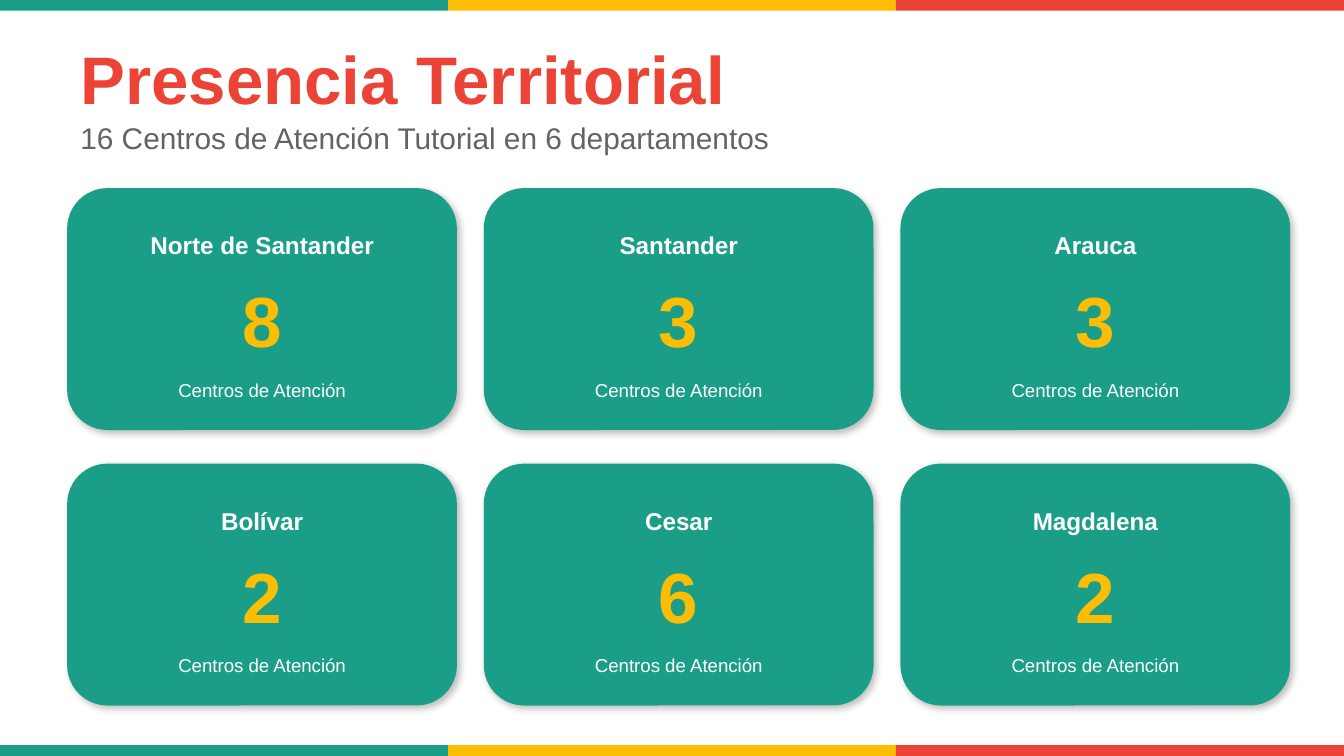
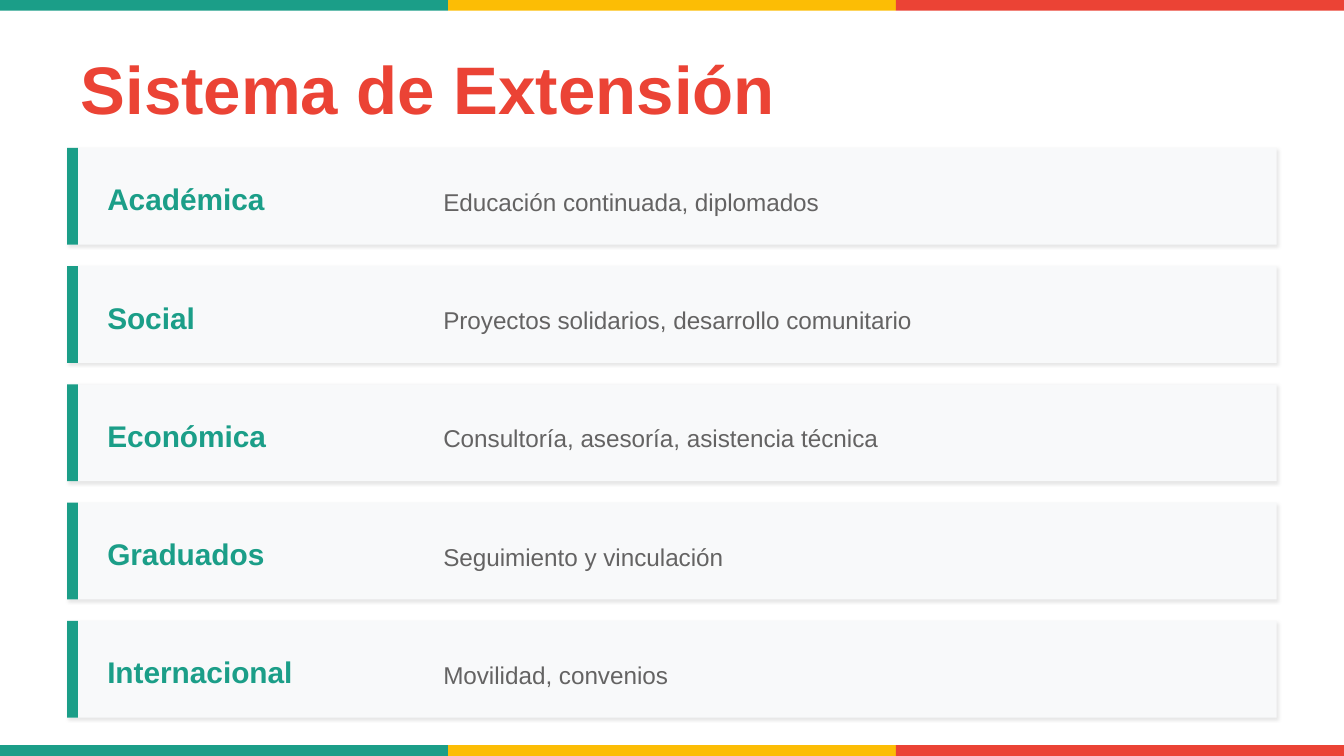
from lxml import etree
from pptx import Presentation
from pptx.dml.color import RGBColor
from pptx.enum import shapes, text
from pptx.oxml import ns
from pptx.util import Pt

TEAL = RGBColor(0x1B, 0x9E, 0x88)
YELLOW = RGBColor(0xFC, 0xBD, 0x05)
RED = RGBColor(0xEB, 0x43, 0x35)
GREY = RGBColor(0x64, 0x63, 0x63)
PALE = RGBColor(0xF8, 0xF9, 0xFA)
WHITE = RGBColor(0xFF, 0xFF, 0xFF)

FONT = "Arial"
WIDTH, HEIGHT = 720, 405
MARGIN = 36
CONTENT_WIDTH = WIDTH - 2 * MARGIN
BAND = 5.76
TITLE_ONLY = 5

RECT = shapes.MSO_SHAPE.RECTANGLE
ROUNDED = shapes.MSO_SHAPE.ROUNDED_RECTANGLE
LEFT, CENTER = text.PP_ALIGN.LEFT, text.PP_ALIGN.CENTER

DEPARTMENTS = [
    ("Norte de Santander", 8), ("Santander", 3), ("Arauca", 3),
    ("Bolívar", 2), ("Cesar", 6), ("Magdalena", 2),
]
EXTENSION_AREAS = [
    ("Académica", "Educación continuada, diplomados"),
    ("Social", "Proyectos solidarios, desarrollo comunitario"),
    ("Económica", "Consultoría, asesoría, asistencia técnica"),
    ("Graduados", "Seguimiento y vinculación"),
    ("Internacional", "Movilidad, convenios"),
]


class Deck:
    def __init__(self):
        self.presentation = Presentation()
        self.presentation.slide_width = Pt(WIDTH)
        self.presentation.slide_height = Pt(HEIGHT)
        self.page = None

    def new_page(self, title, title_height):
        layout = self.presentation.slide_layouts[TITLE_ONLY]
        self.page = self.presentation.slides.add_slide(layout)
        self.page.background.fill.solid()
        self.page.background.fill.fore_color.rgb = WHITE
        self.bands()
        box = self.page.shapes.title
        box.left, box.top = Pt(MARGIN), Pt(21.6)
        box.width, box.height = Pt(CONTENT_WIDTH), Pt(title_height)
        self.set_words(box, title, 36, RED, bold=True)

    def bands(self):
        """Draw the three-colour strip along the top and bottom edges."""
        width = WIDTH / 3
        for top in (0, HEIGHT - BAND):
            for column, color in enumerate((TEAL, YELLOW, RED)):
                self.block(column * width, top, width, BAND, color)

    def block(self, left, top, width, height, color, kind=RECT, shadow=None):
        """Add a filled shape; shadow is (opacity %, blur, distance)."""
        shape = self.page.shapes.add_shape(
            kind, Pt(left), Pt(top), Pt(width), Pt(height))
        shape.shadow.inherit = False
        shape.fill.solid()
        shape.fill.fore_color.rgb = color
        shape.line.fill.background()
        if shadow:
            self.cast_shadow(shape, *shadow)

    def cast_shadow(self, shape, opacity, blur, distance):
        effects = shape._element.spPr.find(ns.qn("a:effectLst"))
        outer = etree.SubElement(
            effects, ns.qn("a:outerShdw"), blurRad=str(Pt(blur)),
            dist=str(Pt(distance)), dir=str(45 * 60000),
            algn="bl", rotWithShape="0")
        color = etree.SubElement(outer, ns.qn("a:srgbClr"), val="000000")
        etree.SubElement(color, ns.qn("a:alpha"), val=str(opacity * 1000))

    def label(self, left, top, width, height, words, size, color,
              bold=False, align=LEFT):
        box = self.page.shapes.add_textbox(
            Pt(left), Pt(top), Pt(width), Pt(height))
        self.set_words(box, words, size, color, bold, align)

    def set_words(self, box, words, size, color, bold=False, align=LEFT):
        frame = box.text_frame
        frame.word_wrap = True
        frame.auto_size = text.MSO_AUTO_SIZE.NONE
        frame.vertical_anchor = text.MSO_ANCHOR.MIDDLE
        para = frame.paragraphs[0]
        para.text = words
        para.alignment = align
        para.font.name = FONT
        para.font.size = Pt(size)
        para.font.bold = bold
        para.font.color.rgb = color

    def department_card(self, left, top, name, centers):
        width = 208.8
        self.block(left, top, width, 129.6, TEAL, ROUNDED, shadow=(25, 4, 2))
        self.label(left, top + 14.4, width, 32.4, name, 13, WHITE,
                   True, CENTER)
        self.label(left, top + 46.8, width, 46.8, str(centers), 38, YELLOW,
                   True, CENTER)
        self.label(left, top + 97.2, width, 21.6, "Centros de Atención",
                   10, WHITE, align=CENTER)

    def area_row(self, top, name, activities):
        height = 51.84
        self.block(MARGIN, top, CONTENT_WIDTH, height, PALE, shadow=(10, 2, 1))
        self.block(MARGIN, top, BAND, height, TEAL)
        self.label(50.4, top + 12.96, 158.4, 28.8, name, 16, TEAL, True)
        self.label(230.4, top + 14.4, 432, 28.8, activities, 13, GREY)


def territory_page(deck):
    deck.new_page("Presencia Territorial", 39.6)
    deck.label(MARGIN, 61.2, CONTENT_WIDTH, 25.2,
               "16 Centros de Atención Tutorial en 6 departamentos", 16, GREY)
    for index, (name, centers) in enumerate(DEPARTMENTS):
        row, column = divmod(index, 3)
        deck.department_card(MARGIN + column * 223.2, 100.8 + row * 147.6,
                             name, centers)


def extension_page(deck):
    deck.new_page("Sistema de Extensión", 50.4)
    for row, (name, activities) in enumerate(EXTENSION_AREAS):
        deck.area_row(79.2 + row * 63.36, name, activities)


def main():
    deck = Deck()
    territory_page(deck)
    extension_page(deck)
    deck.presentation.save("out.pptx")


if __name__ == "__main__":
    main()
